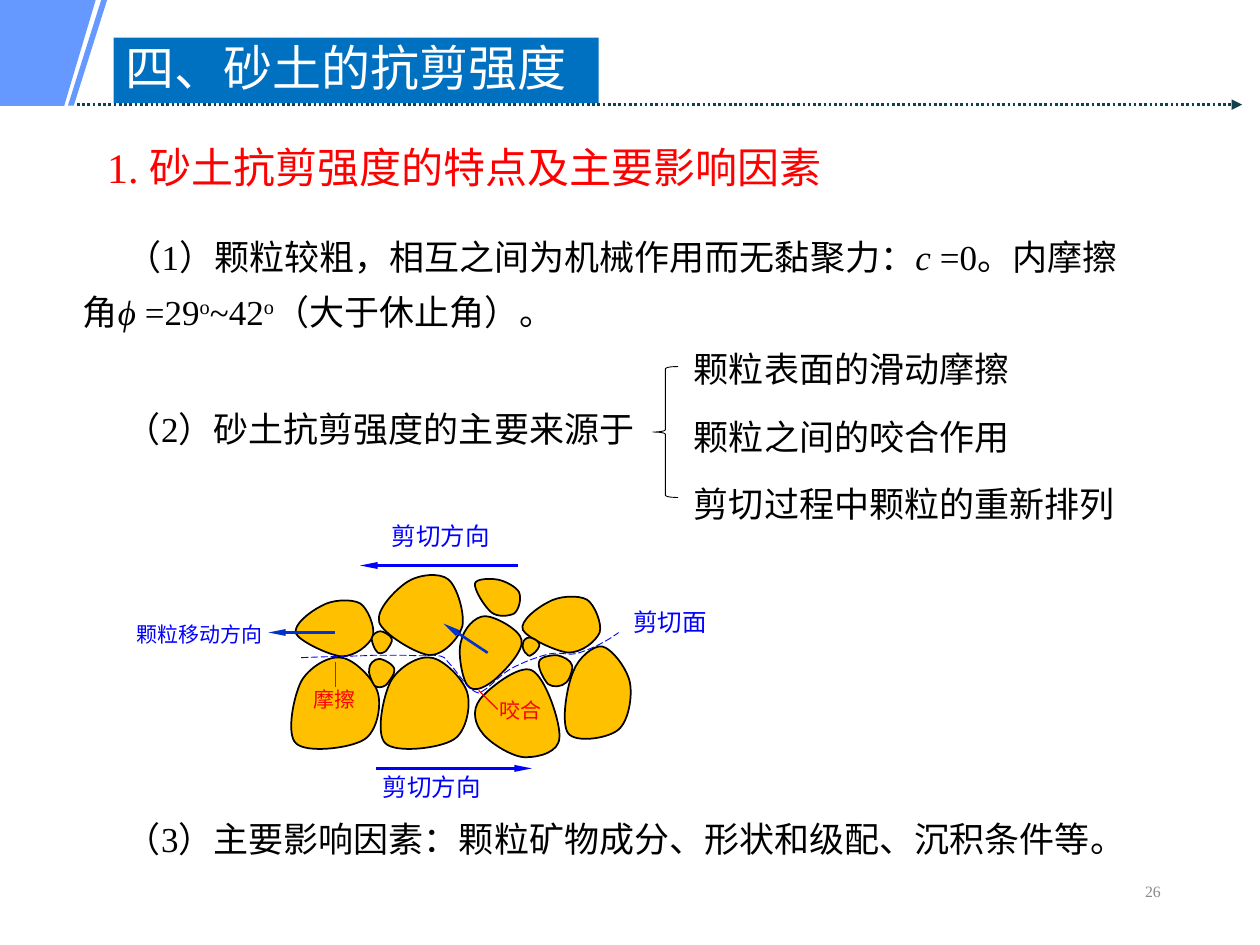
from dataclasses import dataclass

from lxml import etree
from pptx import Presentation
from pptx.dml.color import RGBColor
from pptx.enum.dml import MSO_LINE
from pptx.enum.shapes import MSO_CONNECTOR, MSO_SHAPE
from pptx.enum.text import MSO_ANCHOR, PP_ALIGN
from pptx.oxml.ns import qn
from pptx.util import Cm, Pt

STRAIGHT = MSO_CONNECTOR.STRAIGHT
RECTANGLE, BRACE, SLANT = MSO_SHAPE.RECTANGLE, MSO_SHAPE.LEFT_BRACE, MSO_SHAPE.PARALLELOGRAM
TOP, MIDDLE = MSO_ANCHOR.TOP, MSO_ANCHOR.MIDDLE
LEFT, RIGHT = PP_ALIGN.LEFT, PP_ALIGN.RIGHT
DOTTED, LONG_DASH = MSO_LINE.ROUND_DOT, MSO_LINE.LONG_DASH


@dataclass(frozen=True)
class Theme:
    latin: str = "Times New Roman"
    chinese: str = "Noto Sans CJK SC"
    black: str = "000000"
    white: str = "FFFFFF"
    red: str = "FF0000"
    blue: str = "0000FF"
    motion: str = "0033CC"
    corner: str = "6699FF"
    rule: str = "12414E"
    banner: str = "0070C0"
    stone: str = "FFC000"
    grey: str = "898989"
    title: int = 28
    heading: int = 24
    body: int = 20
    label: int = 14
    small: int = 12
    number: int = 9


THEME = Theme()
GRID = Cm(0.0254)  # drawing unit of the outlines below


@dataclass(frozen=True)
class Piece:
    text: str
    italic: bool = False
    raised: bool = False
    font: str = THEME.latin


@dataclass(frozen=True)
class Label:
    pieces: tuple[Piece, ...]
    left: float
    top: float
    width: float
    height: float
    size: int
    color: str = THEME.black
    anchor: MSO_ANCHOR = MIDDLE
    align: PP_ALIGN = LEFT
    spacing: float = 1.0
    indent: float = 0


@dataclass(frozen=True)
class Line:
    start: tuple[float, float]
    end: tuple[float, float]
    color: str
    width: float = 1.5
    head: tuple[str, str] | None = ("sm", "lg")
    dash: MSO_LINE | None = None


@dataclass(frozen=True)
class Stone:
    """An outline placed by its first point; without a place it stays where it is."""
    outline: list[tuple[int, int]]
    place: tuple[int, int] | None = None
    scale: float = 1.0


BLOCK = [(271, 522), (281, 523), (297, 539), (300, 550), (303, 561), (299, 581), (289, 587), (278, 594),
         (243, 598), (235, 590), (227, 583), (233, 553), (239, 541), (245, 530), (261, 520), (271, 522)]
DOME = [(356, 460), (363, 466), (369, 487), (367, 497), (364, 507), (352, 520), (341, 520), (330, 519),
        (304, 503), (301, 494), (298, 484), (314, 468), (323, 462), (332, 456), (349, 454), (356, 460)]
LENS = [(466, 476), (472, 480), (478, 495), (476, 502), (473, 509), (462, 518), (451, 518), (441, 517),
        (418, 506), (415, 500), (412, 493), (427, 482), (435, 478), (443, 473), (459, 472), (466, 476)]
CHIP = [(412, 470), (414, 475), (412, 484), (408, 487), (404, 489), (395, 490), (390, 486), (385, 482),
        (376, 468), (377, 463), (378, 459), (390, 459), (395, 460), (401, 461), (410, 466), (412, 470)]
WEDGE = [(422, 532), (433, 537), (445, 574), (444, 585), (444, 597), (428, 601), (417, 601), (407, 601),
         (389, 590), (383, 582), (377, 575), (374, 564), (381, 555), (387, 547), (412, 527), (422, 532)]
TILTED = [(414, 508), (416, 517), (399, 534), (392, 540), (384, 546), (376, 550), (371, 544), (367, 539),
          (363, 518), (366, 509), (368, 499), (377, 489), (385, 489), (393, 489), (413, 500), (414, 508)]
TALL = [(478, 513), (486, 515), (498, 531), (500, 542), (502, 553), (499, 572), (491, 579), (483, 586),
        (457, 590), (451, 582), (445, 574), (450, 544), (455, 533), (459, 522), (471, 512), (478, 513)]
COBBLE = [(454, 528), (455, 531), (452, 540), (449, 542), (446, 545), (439, 546), (435, 543), (432, 540),
          (426, 529), (428, 525), (429, 521), (438, 520), (442, 520), (447, 521), (453, 524), (454, 528)]
PEBBLE = [(313, 531), (314, 534), (309, 541), (306, 544), (303, 546), (299, 546), (297, 544), (295, 541),
          (292, 534), (293, 531), (293, 527), (297, 523), (301, 523), (304, 523), (312, 527), (313, 531)]
STONES = [Stone(BLOCK), Stone(DOME), Stone(LENS), Stone(CHIP), Stone(WEDGE), Stone(TILTED), Stone(TALL),
          Stone(BLOCK, (342, 522)), Stone(COBBLE), Stone(LENS, (286, 479)), Stone(PEBBLE),
          Stone(PEBBLE, (311, 507), 0.78), Stone(PEBBLE, (428, 511), 0.65)]
SHEAR_SURFACE = [(239, 522), (259, 521), (278, 521), (298, 520), (310, 520), (310, 520), (318, 520),
                 (325, 520), (335, 521), (344, 520), (355, 521), (352, 522), (357, 527), (363, 533),
                 (372, 549), (380, 550), (388, 547), (395, 537), (405, 531), (414, 526), (427, 521),
                 (436, 519), (446, 517), (451, 521), (460, 518), (469, 515), (480, 510), (491, 502)]

RULE = Line((1.55, 2.11), (25.04, 2.11), THEME.rule, head=("med", "med"), dash=DOTTED)
LINES = [
    Line((9.83, 13.16), (8.94, 12.57), THEME.motion),
    Line((6.76, 12.75), (5.41, 12.75), THEME.motion),
    Line((10.44, 11.4), (7.26, 11.4), THEME.blue),
    Line((7.57, 15.49), (10.72, 15.49), THEME.blue),
    Line((6.76, 13.84), (6.76, 13.34), THEME.red, 0.75, None),
    Line((10.03, 14.3), (9.65, 13.92), THEME.red, 0.75, None),
]

TITLE = Label((Piece("四、砂土的抗剪强度"),), 2.29, 0.76, 9.78, 1.32, THEME.title, THEME.white, spacing=0.9)
SOURCES = ("颗粒表面的滑动摩擦", "颗粒之间的咬合作用", "剪切过程中颗粒的重新排列")
LABELS = [
    Label((Piece("26"),), 17.93, 17.65, 5.72, 1.02, THEME.number, THEME.grey, TOP, RIGHT),
    Label((Piece("1. "), Piece("砂土抗剪强度的特点及主要影响因素", font=THEME.chinese)),
          1.91, 2.57, 16.03, 1.57, THEME.heading, THEME.red),
    Label((Piece("（1）颗粒较粗，相互之间为机械作用而无黏聚力："), Piece("c ", italic=True),
           Piece("=0。内摩擦角"), Piece("ϕ ", italic=True), Piece("=29"), Piece("o", raised=True),
           Piece("~42"), Piece("o", raised=True), Piece("（大于休止角）。")),
          1.42, 4.42, 21.74, 2.36, THEME.body, spacing=1.3, indent=0.88),
    Label((Piece("（2）砂土抗剪强度的主要来源于"),), 2.29, 8.1, 11.4, 1.09, THEME.body),
    *(Label((Piece(source),), 13.74, 6.86 + 1.37 * row, 9.98, 1.12, THEME.body)
      for row, source in enumerate(SOURCES)),
    Label((Piece("颗粒移动方向"),), 2.51, 12.19, 3.38, 1.19, THEME.small, THEME.blue),
    Label((Piece("剪切方向"),), 7.65, 10.21, 3, 1.19, THEME.label, THEME.blue),
    Label((Piece("剪切方向"),), 7.47, 15.27, 3, 1.19, THEME.label, THEME.blue),
    Label((Piece("剪切面"),), 12.52, 11.94, 2.57, 1.19, THEME.label, THEME.blue),
    Label((Piece("摩擦"),), 6.07, 13.54, 1.73, 1.09, THEME.small, THEME.red),
    Label((Piece("咬合"),), 9.83, 13.77, 1.73, 1.09, THEME.small, THEME.red),
    Label((Piece("（3）主要影响因素：颗粒矿物成分、形状和级配、沉积条件等。"),),
          2.29, 16.36, 21.39, 1.09, THEME.body),
]


def paint(shape, fill: str | None, line: str | None = None, width: float = 1) -> None:
    shape.shadow.inherit = False
    if fill:
        shape.fill.solid()
        shape.fill.fore_color.rgb = RGBColor.from_string(fill)
    else:
        shape.fill.background()
    if line:
        shape.line.color.rgb = RGBColor.from_string(line)
        shape.line.width = Pt(width)
    else:
        shape.line.fill.background()


def add_shape(page, kind, left: float, top: float, width: float, height: float):
    return page.shapes.add_shape(kind, Cm(left), Cm(top), Cm(width), Cm(height))


def add_outline(page, points: list[tuple[float, float]], closed: bool = True):
    builder = page.shapes.build_freeform(*points[0], scale=GRID)
    builder.add_line_segments(points[1:], close=closed)
    return builder.convert_to_shape()


def add_curve(page, points: list[tuple[float, float]], closed: bool = True):
    """Draw a start point followed by triples of Bézier points."""
    shape = add_outline(page, points, closed)
    segments = list(shape._element.iter(qn("a:lnTo")))
    for first in range(0, len(segments), 3):
        triple = segments[first:first + 3]
        bezier = etree.Element(qn("a:cubicBezTo"))
        triple[0].addprevious(bezier)
        for segment in triple:
            bezier.append(segment[0])
            segment.getparent().remove(segment)
    return shape


def add_stone(page, stone: Stone) -> None:
    origin_x, origin_y = stone.outline[0]
    left, top = stone.place or stone.outline[0]
    points = [(left + (x - origin_x) * stone.scale, top + (y - origin_y) * stone.scale)
              for x, y in stone.outline]
    paint(add_curve(page, points), THEME.stone, THEME.black)


def add_line(page, line: Line) -> None:
    connector = page.shapes.add_connector(STRAIGHT, *map(Cm, line.start + line.end))
    connector.line.color.rgb = RGBColor.from_string(line.color)
    connector.line.width = Pt(line.width)
    if line.dash:
        connector.line.dash_style = line.dash
    if line.head:
        width, length = line.head
        etree.SubElement(connector.get_or_add_ln(), qn("a:tailEnd"), type="triangle", w=width, len=length)
    etree.SubElement(connector._element.spPr, qn("a:effectLst"))


def write(box, label: Label) -> None:
    frame = box.text_frame
    frame.word_wrap = True
    frame.vertical_anchor = label.anchor
    para = frame.paragraphs[0]
    para.alignment = label.align
    para.line_spacing = label.spacing
    if label.indent:
        para._p.get_or_add_pPr().set("indent", str(Cm(label.indent)))
    for piece in label.pieces:
        span = para.add_run()
        span.text = piece.text
        span.font.size = Pt(label.size)
        span.font.italic = piece.italic
        span.font.color.rgb = RGBColor.from_string(label.color)
        span.font.name = piece.font
        properties = span._r.get_or_add_rPr()
        etree.SubElement(properties, qn("a:ea"), typeface=THEME.chinese)
        if piece.raised:
            properties.set("baseline", "30000")


def add_header(page) -> None:
    paint(add_outline(page, [(0, 0), (76, 0), (51, 84), (0, 84)]), THEME.corner)
    stripe = add_shape(page, SLANT, 1.37, 0, 0.79, 2.13)
    stripe.adjustments[0] = 0.85
    paint(stripe, THEME.corner)
    add_line(page, RULE)
    banner = add_shape(page, RECTANGLE, TITLE.left, TITLE.top, TITLE.width, TITLE.height)
    paint(banner, THEME.banner)
    banner.text_frame.margin_top = banner.text_frame.margin_bottom = 0
    write(banner, TITLE)


def main() -> None:
    deck = Presentation()
    deck.slide_width, deck.slide_height = Cm(25.4), Cm(19.05)
    page = deck.slides.add_slide(deck.slide_layouts[6])
    add_header(page)
    for stone in STONES:
        add_stone(page, stone)
    for label in LABELS:
        write(page.shapes.add_textbox(*map(Cm, (label.left, label.top, label.width, label.height))), label)
    paint(add_shape(page, BRACE, 13.16, 7.39, 0.51, 2.64), None, THEME.black, 0.5)
    surface = add_curve(page, SHEAR_SURFACE, closed=False)
    paint(surface, None, THEME.blue, 0.5)
    surface.line.dash_style = LONG_DASH
    for line in LINES:
        add_line(page, line)
    deck.save("out.pptx")


if __name__ == "__main__":
    main()
